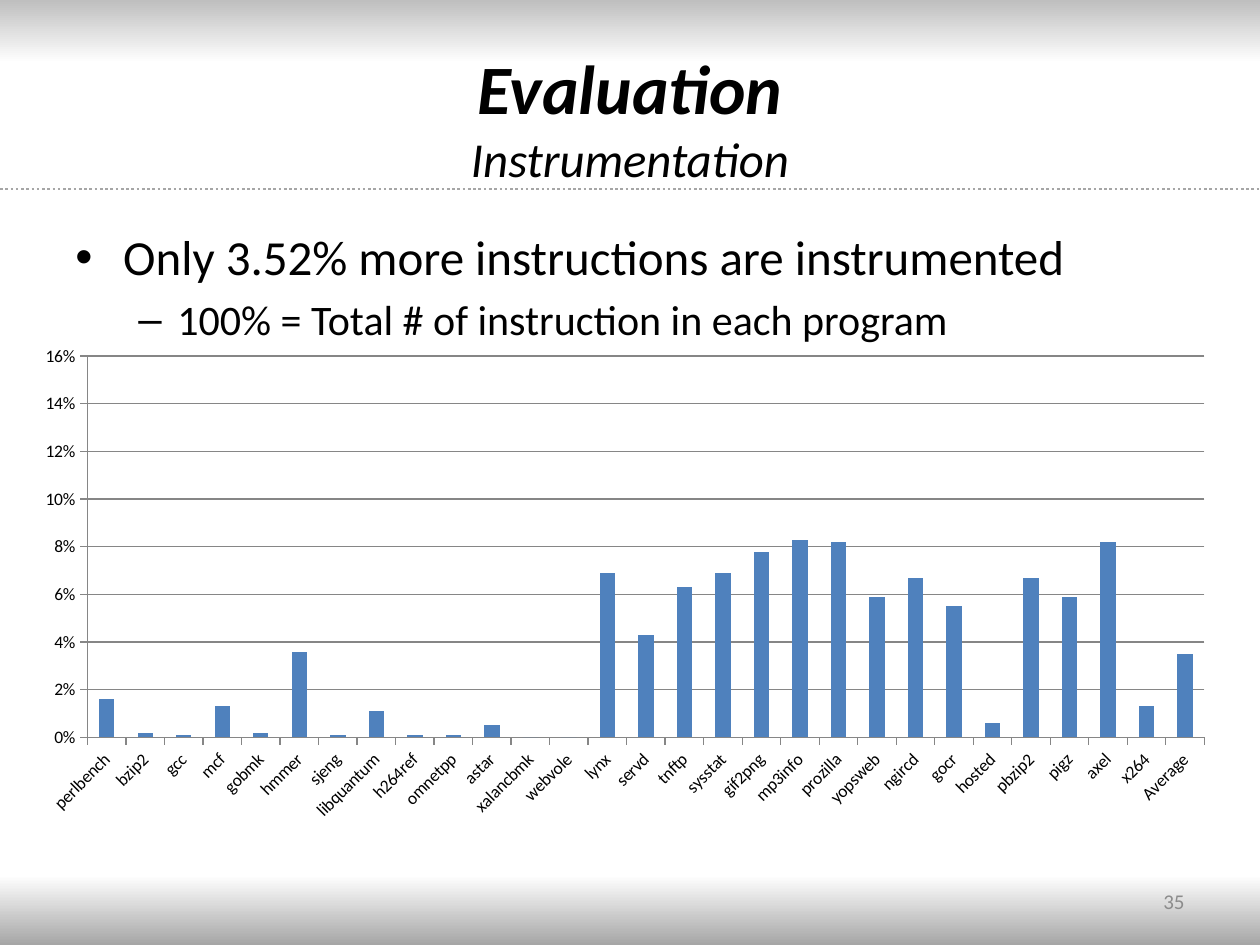
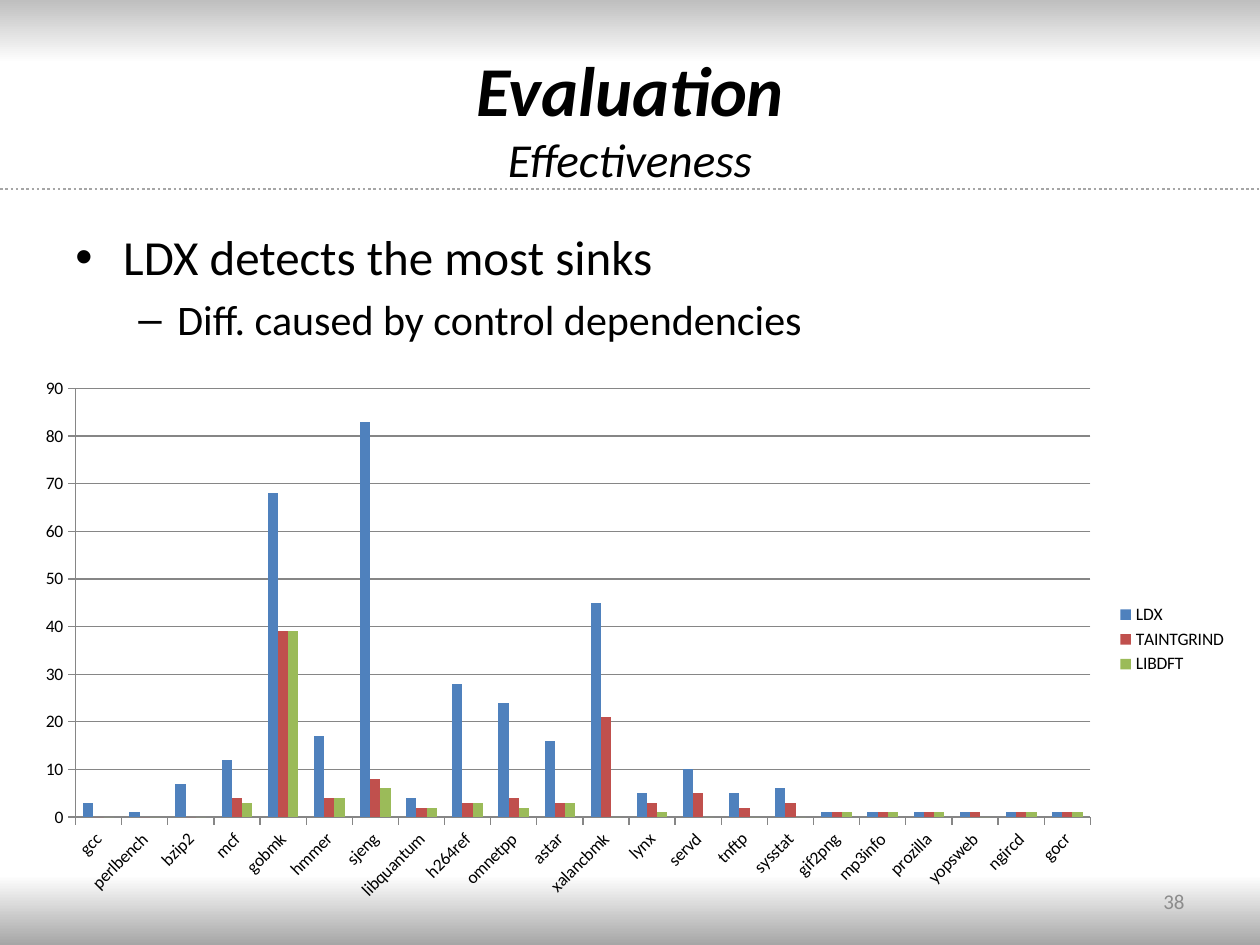
import copy

import pptx
import pptx.chart.data
import pptx.dml.color
import pptx.enum.chart
import pptx.enum.dml
import pptx.enum.shapes
import pptx.enum.text
import pptx.oxml
import pptx.oxml.ns
import pptx.util

Inches = pptx.util.Inches
Pt = pptx.util.Pt
ALIGN = pptx.enum.text.PP_ALIGN
ANCHOR = pptx.enum.text.MSO_ANCHOR
CHART = pptx.enum.chart

FONT = "Calibri"
BLACK, WHITE = "000000", "FFFFFF"
DARK, LIGHT = "A6A6A6", "BFBFBF"
PAGE_GRAY, GRID_GRAY = "8C8C8C", "868686"
BLUE, RED, GREEN = "4F81BD", "C0504D", "9BBB59"

SHARES = {
    "perlbench": 0.016, "bzip2": 0.002, "gcc": 0.001, "mcf": 0.013,
    "gobmk": 0.002, "hmmer": 0.036, "sjeng": 0.001, "libquantum": 0.011,
    "h264ref": 0.001, "omnetpp": 0.001, "astar": 0.005, "xalancbmk": 0,
    "webvole": 0, "lynx": 0.069, "servd": 0.043, "tnftp": 0.063,
    "sysstat": 0.069, "gif2png": 0.078, "mp3info": 0.083,
    "prozilla": 0.082, "yopsweb": 0.059, "ngircd": 0.067, "gocr": 0.055,
    "hosted": 0.006, "pbzip2": 0.067, "pigz": 0.059, "axel": 0.082,
    "x264": 0.013, "Average": 0.035,
}

# Sinks found in each program by LDX, TAINTGRIND and LIBDFT
TOOLS = ["LDX", "TAINTGRIND", "LIBDFT"]
SINKS = {
    "gcc": (3, 0, 0), "perlbench": (1, 0, 0), "bzip2": (7, 0, 0),
    "mcf": (12, 4, 3), "gobmk": (68, 39, 39), "hmmer": (17, 4, 4),
    "sjeng": (83, 8, 6), "libquantum": (4, 2, 2), "h264ref": (28, 3, 3),
    "omnetpp": (24, 4, 2), "astar": (16, 3, 3), "xalancbmk": (45, 21, 0),
    "lynx": (5, 3, 1), "servd": (10, 5, 0), "tnftp": (5, 2, 0),
    "sysstat": (6, 3, 0), "gif2png": (1, 1, 1), "mp3info": (1, 1, 1),
    "prozilla": (1, 1, 1), "yopsweb": (1, 1, 0), "ngircd": (1, 1, 1),
    "gocr": (1, 1, 1),
}


def color(code):
    return pptx.dml.color.RGBColor.from_string(code)


def style(font, size, tint=BLACK, bold=False, italic=False):
    font.name, font.size = FONT, Pt(size)
    font.bold, font.italic = bold, italic
    font.color.rgb = color(tint)


def write(para, text, align=None, **look):
    """Add a run; a final newline becomes a line break of the same size."""
    run = para.add_run()
    run.text = text.rstrip("\n")
    style(run.font, **look)
    if align is not None:
        para.alignment = align
    if text.endswith("\n"):
        para.add_line_break()
        para._p[-1].append(copy.deepcopy(run._r.rPr))


def add_box(slide, left, top, width, height, anchor=ANCHOR.TOP):
    box = slide.shapes.add_textbox(
        Inches(left), Inches(top), Inches(width), Inches(height))
    frame = box.text_frame
    frame.word_wrap = True
    frame.vertical_anchor = anchor
    return frame


def add_band(slide, top, height, tint, fade, turn=0):
    """Add a full-width band that fades from tint to white."""
    band = slide.shapes.add_shape(
        pptx.enum.shapes.MSO_SHAPE.RECTANGLE,
        0, Inches(top), Inches(10), Inches(height))
    band.shadow.inherit = False
    band.line.fill.background()
    band.rotation = turn
    band.fill.gradient()
    band.fill.gradient_angle = 270
    first, last = band.fill.gradient_stops
    first.color.rgb, first.position = color(tint), 0
    last.color.rgb, last.position = color(WHITE), fade


def add_rule(slide, top):
    rule = slide.shapes.add_connector(
        pptx.enum.shapes.MSO_CONNECTOR.STRAIGHT,
        0, Inches(top), Inches(10), Inches(top))
    rule.line.color.rgb = color(DARK)
    rule.line.width = Pt(1.5)
    rule.line.dash_style = pptx.enum.dml.MSO_LINE.ROUND_DOT
    rule._element.spPr.append(pptx.oxml.parse_xml(
        f"<a:effectLst {pptx.oxml.ns.nsdecls('a')}/>"))


def set_title(slide, topic, sizes):
    title = slide.shapes.title
    title.left, title.top = Inches(0.5), Inches(0.3)
    title.width, title.height = Inches(9), Inches(1.25)
    frame = title.text_frame
    frame.auto_size = pptx.enum.text.MSO_AUTO_SIZE.NONE
    frame.vertical_anchor = ANCHOR.MIDDLE
    para = frame.paragraphs[0]
    write(para, "Evaluation\n", align=ALIGN.CENTER, size=sizes[0],
          bold=True, italic=True)
    write(para, topic, size=sizes[1], italic=True)


def add_point(para, text, mark, size, left, hang):
    props = para._p.get_or_add_pPr()
    props.set("marL", str(Inches(left)))
    props.set("indent", str(-Inches(hang)))
    para.space_before = Pt(size * 0.2)
    for tag in ('buFont typeface="Arial"', f'buChar char="{mark}"'):
        props.append(pptx.oxml.parse_xml(
            f"<a:{tag} {pptx.oxml.ns.nsdecls('a')}/>"))
    write(para, text, size=size)


def add_points(slide, main_point, sub_point):
    frame = add_box(slide, 0.5, 1.75, 9, 4.95)
    add_point(frame.paragraphs[0], main_point, "•", 28, 0.38, 0.38)
    para = frame.add_paragraph()
    para.level = 1
    add_point(para, sub_point, "–", 24, 0.81, 0.31)


def add_bars(slide, place, cats, series, top, step, form="General"):
    """Add a column chart; series holds (name, values, colour) rows."""
    data = pptx.chart.data.CategoryChartData(number_format=form)
    data.categories = cats
    for name, vals, _ in series:
        data.add_series(name, vals)
    chart = slide.shapes.add_chart(
        CHART.XL_CHART_TYPE.COLUMN_CLUSTERED,
        *map(Inches, place), data).chart
    style(chart.font, 10)
    chart.has_title = False
    chart.has_legend = len(series) > 1
    if chart.has_legend:
        chart.legend.position = CHART.XL_LEGEND_POSITION.RIGHT
        chart.legend.include_in_layout = False

    plot = chart.plots[0]
    plot.gap_width, plot.overlap = 150, 0
    plot.vary_by_categories = False
    for bars, (_, _, tint) in zip(plot.series, series):
        bars.format.fill.solid()
        bars.format.fill.fore_color.rgb = color(tint)
        bars.invert_if_negative = False

    names, scale = chart.category_axis, chart.value_axis
    scale.minimum_scale, scale.maximum_scale = 0, top
    scale.major_unit = step
    scale.has_major_gridlines = True
    scale.tick_labels.number_format = form
    scale.tick_labels.number_format_is_linked = False
    for axis in (names, scale):
        axis.major_tick_mark = CHART.XL_TICK_MARK.OUTSIDE
        style(axis.tick_labels.font, 10)
    for part in (names, scale, scale.major_gridlines):
        part.format.line.color.rgb = color(GRID_GRAY)
        part.format.line.width = Pt(0.75)
    slant = names._element.find(".//" + pptx.oxml.ns.qn("a:bodyPr"))
    slant.set("rot", str(-45 * 60000))


def add_slide(deck, topic, sizes, page, points):
    slide = deck.slides.add_slide(deck.slide_layouts[5])
    add_band(slide, 6.75, 0.75, DARK, 0.74, turn=180)
    add_band(slide, 0, 0.5, LIGHT, 1)
    add_rule(slide, 1.5)
    set_title(slide, topic, sizes)
    add_points(slide, *points)
    foot = add_box(slide, 7.17, 6.95, 2.33, 0.4, ANCHOR.MIDDLE)
    write(foot.paragraphs[0], str(page), align=ALIGN.RIGHT,
          size=12, tint=PAGE_GRAY)
    return slide


def main():
    deck = pptx.Presentation()
    deck.slide_width, deck.slide_height = Inches(10), Inches(7.5)

    slide = add_slide(
        deck, "Instrumentation", (39.6, 27.9), 35,
        ("Only 3.52% more instructions are instrumented",
         "100% = Total # of instruction in each program"))
    add_bars(slide, (0.17, 2.67, 9.58, 3.92), list(SHARES),
             [("Series 1", list(SHARES.values()), BLUE)],
             top=0.16, step=0.02, form="0%")

    slide = add_slide(
        deck, "Effectiveness", (40, 27), 38,
        ("LDX detects the most sinks",
         "Diff. caused by control dependencies"))
    add_bars(slide, (0.17, 2.92, 9.67, 4.31), list(SINKS),
             list(zip(TOOLS, zip(*SINKS.values()), (BLUE, RED, GREEN))),
             top=90, step=10)

    deck.save("out.pptx")


if __name__ == "__main__":
    main()
